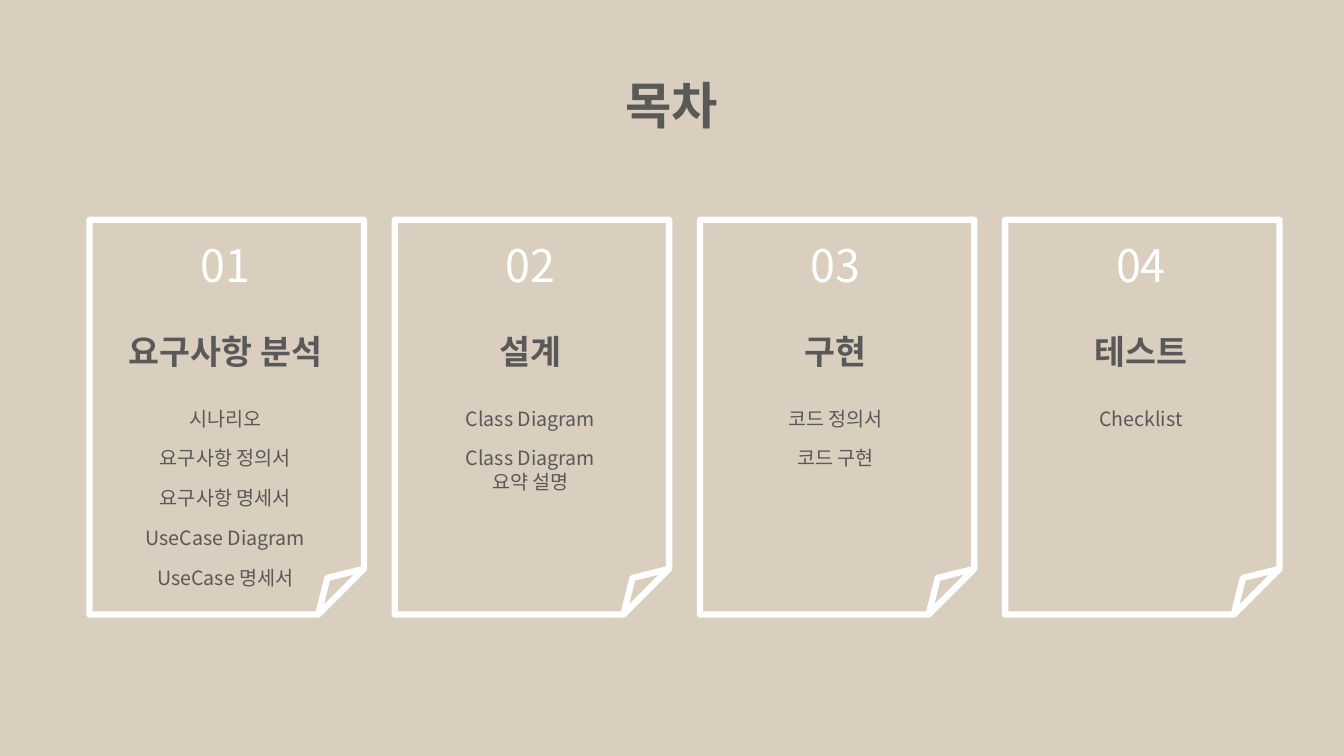
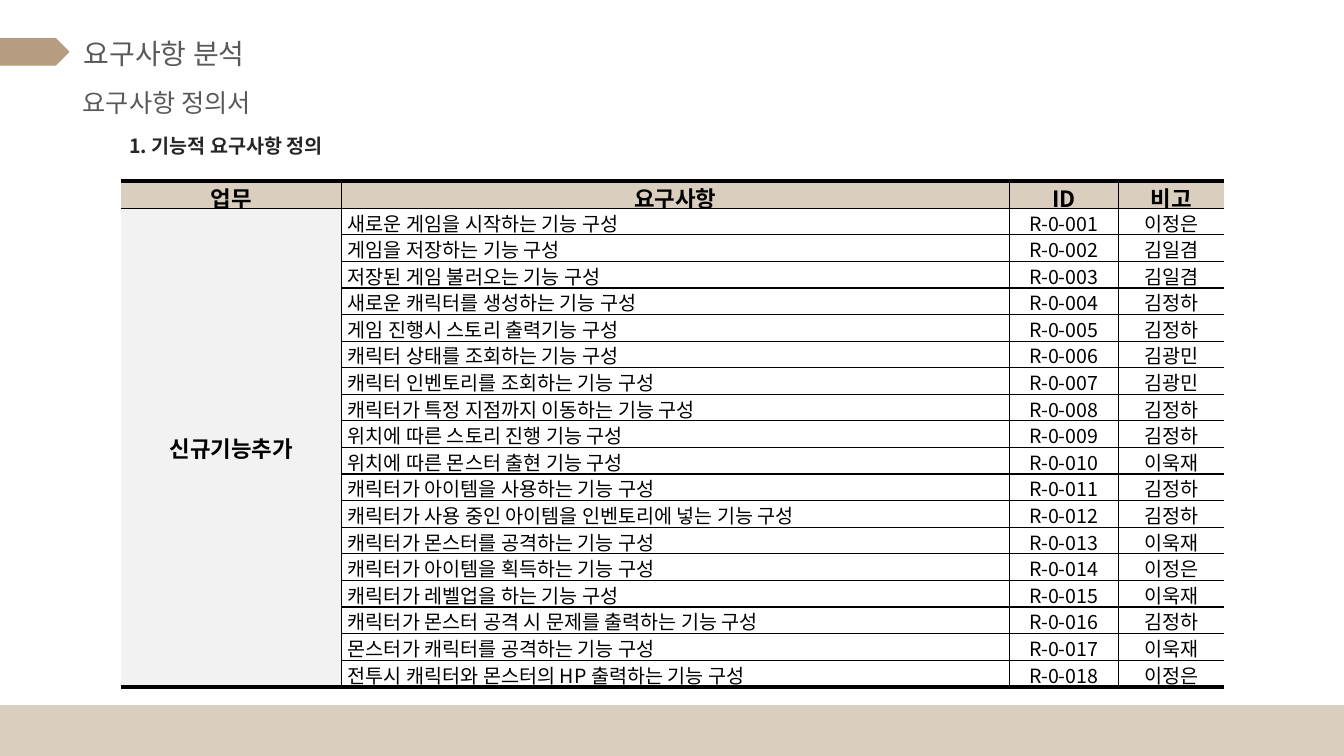
from dataclasses import dataclass

from lxml import etree
from pptx import Presentation
from pptx.dml.color import RGBColor
from pptx.enum.shapes import MSO_SHAPE
from pptx.enum.text import MSO_ANCHOR, MSO_AUTO_SIZE, PP_ALIGN
from pptx.oxml.ns import qn
from pptx.util import Pt

LEFT, CENTER, JUSTIFY = PP_ALIGN.LEFT, PP_ALIGN.CENTER, PP_ALIGN.JUSTIFY
TOP, MIDDLE = MSO_ANCHOR.TOP, MSO_ANCHOR.MIDDLE
NO_AUTOFIT = MSO_AUTO_SIZE.NONE
RECTANGLE, PENTAGON, FOLDED_PAGE = (
    MSO_SHAPE.RECTANGLE, MSO_SHAPE.PENTAGON, MSO_SHAPE.FOLDED_CORNER)
COMPARISON_LAYOUT, TITLE_ONLY_LAYOUT = 4, 5
SLIDE_W, SLIDE_H = 960, 540


@dataclass(frozen=True)
class Theme:
    font: str = "Noto Sans CJK KR"
    sand: str = "DACEBE"
    brown: str = "B69D81"
    white: str = "FFFFFF"
    gray: str = "595959"
    dark: str = "262626"
    black: str = "000000"
    pale: str = "F2F2F2"
    title: int = 36
    number: int = 32
    heading: int = 24
    section: int = 20
    subsection: int = 18
    table_head: int = 16
    body: int = 14
    thin: int = 1
    thick: int = 3
    page_line: float = 4.5


THEME = Theme()

# Contents slide
CONTENTS = [
    ("요구사항 분석", ["시나리오", "요구사항 정의서", "요구사항 명세서",
                  "UseCase Diagram", "UseCase 명세서"]),
    ("설계", ["Class Diagram", "Class Diagram\n요약 설명"]),
    ("구현", ["코드 정의서", "코드 구현"]),
    ("테스트", ["Checklist"]),
]

# Requirements slide
HEADERS = ["업무", "요구사항", "ID", "비고"]
TASK = "신규기능추가"
REQUIREMENTS = [
    ("새로운 게임을 시작하는 기능 구성", "이정은"),
    ("게임을 저장하는 기능 구성", "김일겸"),
    ("저장된 게임 불러오는 기능 구성", "김일겸"),
    ("새로운 캐릭터를 생성하는 기능 구성", "김정하"),
    ("게임 진행시 스토리 출력기능 구성", "김정하"),
    ("캐릭터 상태를 조회하는 기능 구성", "김광민"),
    ("캐릭터 인벤토리를 조회하는 기능 구성", "김광민"),
    ("캐릭터가 특정 지점까지 이동하는 기능 구성", "김정하"),
    ("위치에 따른 스토리 진행 기능 구성", "김정하"),
    ("위치에 따른 몬스터 출현 기능 구성", "이욱재"),
    ("캐릭터가 아이템을 사용하는 기능 구성", "김정하"),
    ("캐릭터가 사용 중인 아이템을 인벤토리에 넣는 기능 구성", "김정하"),
    ("캐릭터가 몬스터를 공격하는 기능 구성", "이욱재"),
    ("캐릭터가 아이템을 획득하는 기능 구성", "이정은"),
    ("캐릭터가 레벨업을 하는 기능 구성", "이욱재"),
    ("캐릭터가 몬스터 공격 시 문제를 출력하는 기능 구성", "김정하"),
    ("몬스터가 캐릭터를 공격하는 기능 구성", "이욱재"),
    ("전투시 캐릭터와 몬스터의 HP 출력하는 기능 구성", "이정은"),
]


def rgb(color):
    return RGBColor.from_string(color)


def write(frame, *lines, size=THEME.body, color=THEME.gray, bold=False,
          align=CENTER, line_height=None, gap=0, plain_list=False):
    """Fill a text frame with one formatted paragraph per line."""
    frame.word_wrap = True
    for index, line in enumerate(lines):
        paragraph = frame.add_paragraph() if index else frame.paragraphs[0]
        paragraph.text = line
        paragraph.alignment = align
        paragraph.space_before = Pt(gap if index else 0)
        if line_height:
            paragraph.line_spacing = Pt(line_height)
        if plain_list:
            properties = paragraph._p.get_or_add_pPr()
            properties.set("marL", "0")
            properties.set("indent", "0")
            etree.SubElement(properties, qn("a:buNone"))
        for run in paragraph.runs:
            run.font.name = THEME.font
            run.font.size = Pt(size)
            run.font.bold = bold
            run.font.color.rgb = rgb(color)
            east_asian = etree.SubElement(run._r.get_or_add_rPr(), qn("a:ea"))
            east_asian.set("typeface", THEME.font)


def add_text(slide, box, *lines, **style):
    label = slide.shapes.add_textbox(*map(Pt, box))
    write(label.text_frame, *lines, **style)


def fill_placeholder(placeholder, box, *lines, **style):
    placeholder.left, placeholder.top, placeholder.width, placeholder.height = map(Pt, box)
    frame = placeholder.text_frame
    frame.auto_size = NO_AUTOFIT
    frame.vertical_anchor = TOP
    write(frame, *lines, **style)


def add_block(slide, kind, box, fill=None, line=None, line_width=THEME.thin):
    block = slide.shapes.add_shape(kind, *map(Pt, box))
    block.shadow.inherit = False
    if fill:
        block.fill.solid()
        block.fill.fore_color.rgb = rgb(fill)
    else:
        block.fill.background()
    if line:
        block.line.color.rgb = rgb(line)
        block.line.width = Pt(line_width)
    else:
        block.line.fill.background()
    return block


def add_contents_card(slide, box, number, heading, topics, topic_list):
    left, top, width, height = box
    text_left, text_width = left + 10, width - 22
    add_block(slide, FOLDED_PAGE, box, line=THEME.white, line_width=THEME.page_line)
    add_text(slide, (text_left, top + 9.5, text_width, 46), f"{number:02}",
             size=THEME.number, color=THEME.white)
    add_text(slide, (text_left, top + 75.5, text_width, 36), heading,
             size=THEME.heading, bold=True)
    fill_placeholder(topic_list, (text_left, top + 129.5, text_width, 142), *topics,
                     line_height=17, gap=11.5, plain_list=True)


def build_contents(prs):
    slide = prs.slides.add_slide(prs.slide_layouts[COMPARISON_LAYOUT])
    title, *topic_lists = slide.placeholders
    fill_placeholder(title, (393, 49.5, 174, 51), "목차", size=THEME.title, bold=True)

    # Four equally spaced pages
    first_left, pitch = 64, 218
    for index, ((heading, topics), topic_list) in enumerate(zip(CONTENTS, topic_lists)):
        box = (first_left + index * pitch, 157, 196, 282)
        add_contents_card(slide, box, index + 1, heading, topics, topic_list)


def set_borders(cell, **widths):
    """Draw the cell's sides; a width of 0 leaves a side without a line."""
    properties = cell._tc.get_or_add_tcPr()
    for side in "LRTB":
        border = etree.SubElement(properties, qn(f"a:ln{side}"))
        border.set("w", str(Pt(widths[side])))
        if widths[side]:
            fill = etree.SubElement(border, qn("a:solidFill"))
            etree.SubElement(fill, qn("a:srgbClr")).set("val", THEME.black)
        else:
            etree.SubElement(border, qn("a:noFill"))


def format_cell(cell, row, column, row_count, column_count):
    def rule_width(boundary):
        if column == 0 and 1 < boundary < row_count:
            return 0
        return THEME.thick if boundary in (0, row_count) else THEME.thin

    bottom = row_count if cell.is_merge_origin else row + 1
    set_borders(cell,
                L=THEME.thin if column else 0,
                R=THEME.thin if column < column_count - 1 else 0,
                T=rule_width(row), B=rule_width(bottom))
    cell.margin_left = cell.margin_right = Pt(4.5)
    cell.margin_top = cell.margin_bottom = 0
    cell.vertical_anchor = MIDDLE
    fill = THEME.sand if row == 0 else THEME.pale if column == 0 else None
    if fill:
        cell.fill.solid()
        cell.fill.fore_color.rgb = rgb(fill)
    else:
        cell.fill.background()


def add_requirements_table(slide, left, top, column_widths, row_height):
    rows = [HEADERS] + [
        (TASK if number == 1 else "", requirement, f"R-0-{number:03}", owner)
        for number, (requirement, owner) in enumerate(REQUIREMENTS, 1)]
    row_count, column_count = len(rows), len(HEADERS)
    table = slide.shapes.add_table(
        row_count, column_count, Pt(left), Pt(top),
        Pt(sum(column_widths)), Pt(row_height * row_count)).table
    table.first_row = table.horz_banding = False
    for column, width in zip(table.columns, column_widths):
        column.width = Pt(width)
    for table_row in table.rows:
        table_row.height = Pt(row_height)
    table.cell(1, 0).merge(table.cell(row_count - 1, 0))

    for row, values in enumerate(rows):
        for column, value in enumerate(values):
            cell = table.cell(row, column)
            format_cell(cell, row, column, row_count, column_count)
            emphasized = row == 0 or column == 0
            write(cell.text_frame, value, color=THEME.black, bold=emphasized,
                  size=THEME.table_head if emphasized else THEME.body,
                  align=JUSTIFY if column == 1 and row else CENTER)


def add_section_header(slide, box, section, subsection):
    left, top, width, height = box
    add_block(slide, PENTAGON, (left, top + 5, 49, 19), THEME.brown, THEME.brown)
    fill_placeholder(slide.shapes.title, (left + 52.5, top, width, 32), section,
                     size=THEME.section, align=LEFT)
    add_text(slide, (left + 2, top + 36, width, height - 36), subsection,
             size=THEME.subsection)


def build_requirements(prs):
    slide = prs.slides.add_slide(prs.slide_layouts[TITLE_ONLY_LAYOUT])

    # White page behind the title; the background shows as the bottom band
    page = add_block(slide, RECTANGLE, (0, 0, SLIDE_W, 503.5), THEME.white).element
    page.getparent().insert(2, page)

    add_section_header(slide, (0, 22.5, 234, 65), "요구사항 분석", "요구사항 정의서")
    add_text(slide, (44.5, 92, 234, 24.5), "1. 기능적 요구사항 정의",
             color=THEME.dark, bold=True)
    add_requirements_table(slide, 86.5, 129.5, (157.5, 477, 78, 75.5), 19)


def main():
    prs = Presentation()
    prs.slide_width, prs.slide_height = Pt(SLIDE_W), Pt(SLIDE_H)
    background = prs.slide_master.background.fill
    background.solid()
    background.fore_color.rgb = rgb(THEME.sand)
    build_contents(prs)
    build_requirements(prs)
    prs.save("out.pptx")


if __name__ == "__main__":
    main()
